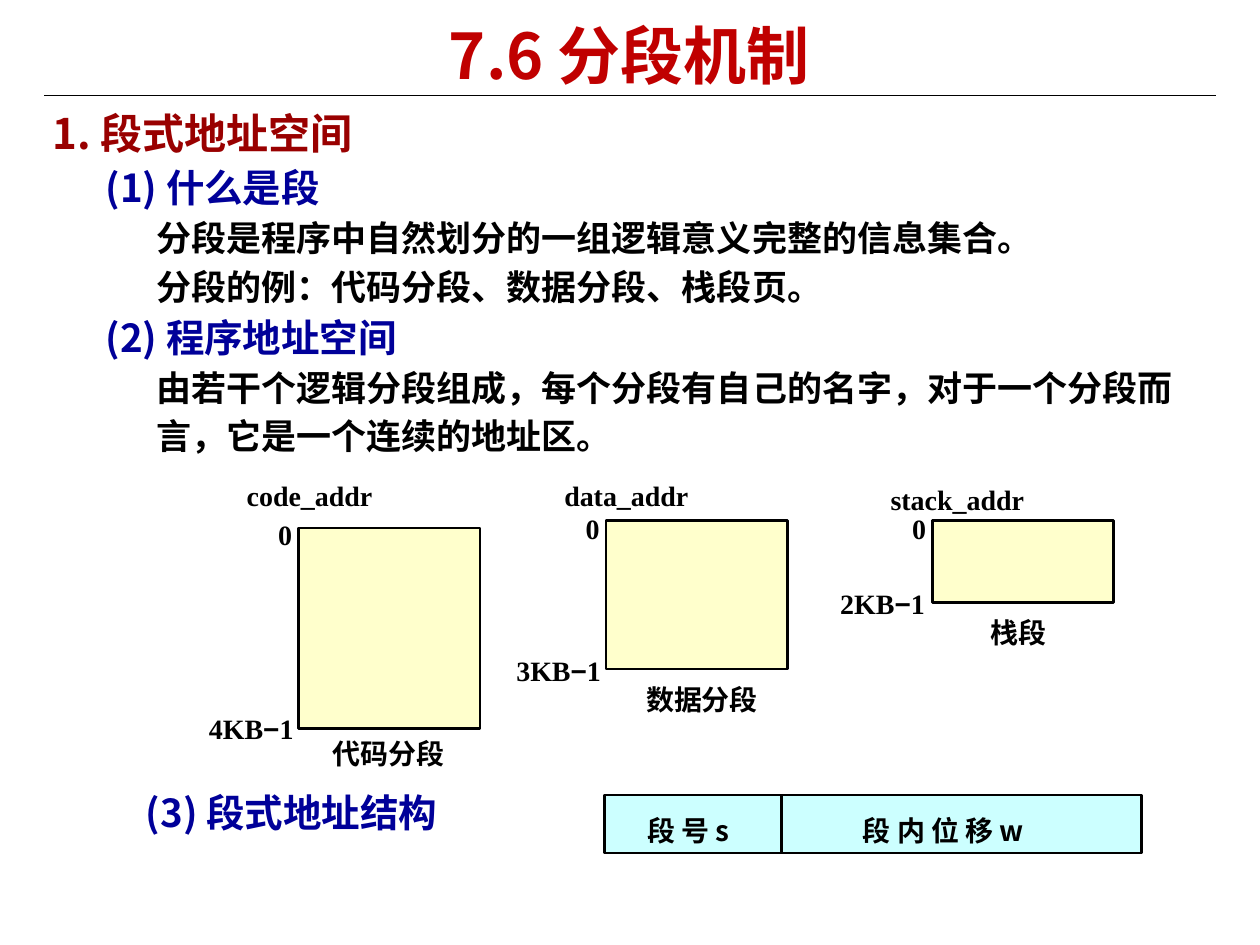
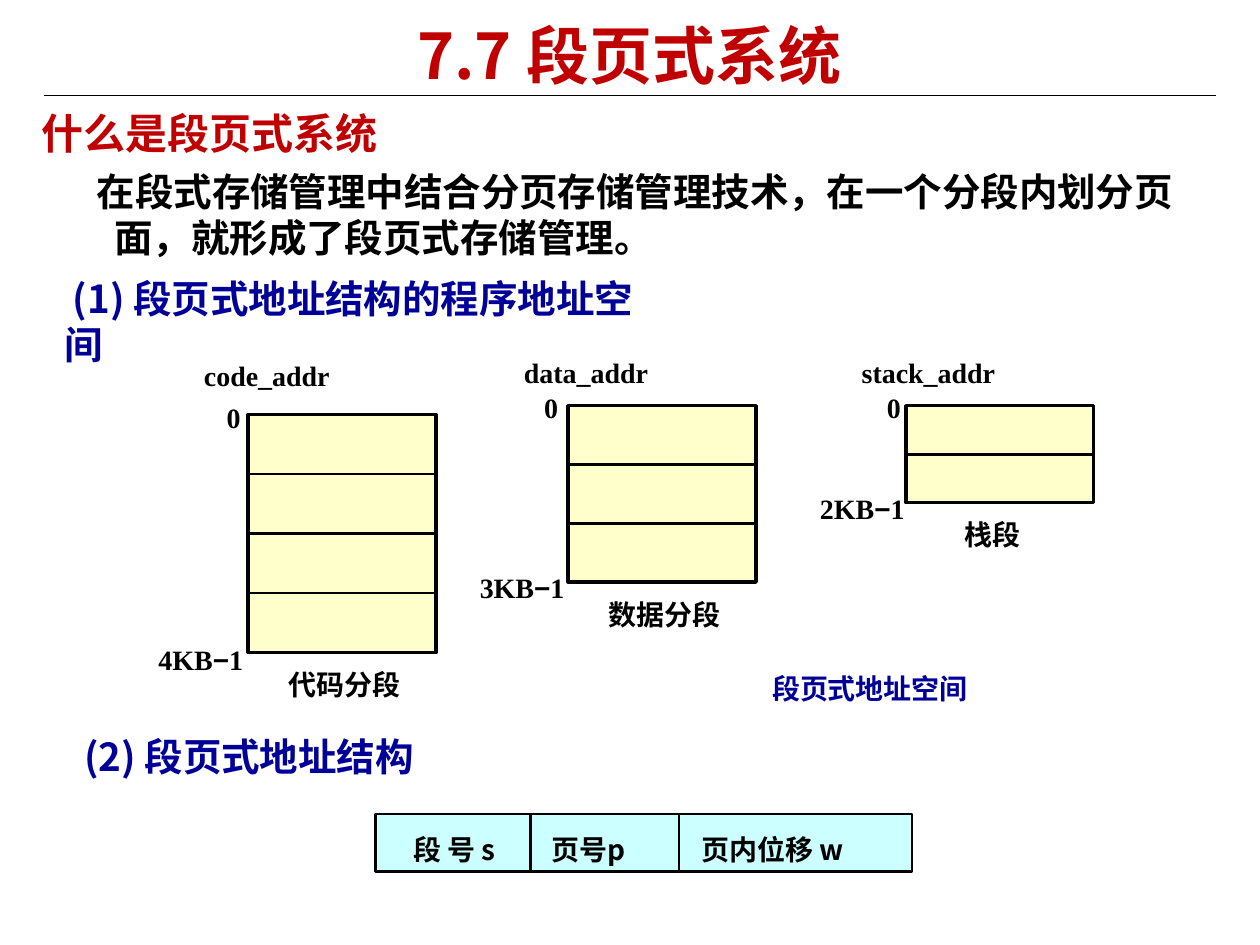
from dataclasses import dataclass
from itertools import groupby

from lxml.etree import SubElement
from pptx import Presentation
from pptx.dml.color import RGBColor
from pptx.enum.shapes import MSO_CONNECTOR, MSO_SHAPE
from pptx.enum.text import PP_ALIGN
from pptx.oxml.ns import qn
from pptx.shapes.autoshape import Shape
from pptx.shapes.connector import Connector
from pptx.slide import Slide
from pptx.util import Inches, Pt

BLACK = RGBColor(0x00, 0x00, 0x00)
TITLE_RED = RGBColor(0xC0, 0x00, 0x00)
DARK_RED = RGBColor(0x99, 0x00, 0x00)
NAVY = RGBColor(0x00, 0x00, 0x99)
SEGMENT_YELLOW = RGBColor(0xFF, 0xFF, 0xCC)
ADDRESS_CYAN = RGBColor(0xCC, 0xFF, 0xFF)

CHINESE = "Noto Sans CJK SC"
LATIN = "Times New Roman"
SYMBOL = "Arial"
MINUS = "−"
LINE_RATIO = 1.2  # line height of Chinese text, in ems
BAR_WIDTH, BAR_HEIGHT = 4.26, 0.46

Box = tuple[float, float, float, float]
Point = tuple[float, float]


@dataclass(frozen=True)
class Line:
    text: str
    size: int = 16
    color: RGBColor = BLACK
    font: str = CHINESE
    margin: float = 0
    first: float = 0


@dataclass(frozen=True)
class Segment:
    name: str
    caption: str
    kilobytes: int
    box: Box
    name_at: Point
    start_at: Point
    limit_at: Point
    caption_at: Point


@dataclass(frozen=True)
class Field:
    text: str
    left: float
    right: float  # right edge of the field's cell


@dataclass(frozen=True)
class AddressBar:
    left: float
    top: float
    fields: tuple[Field, ...]


def add_text(slide: Slide, box: Box, lines: list[Line], gap: float = 0,
             align: PP_ALIGN = PP_ALIGN.LEFT) -> None:
    frame = slide.shapes.add_textbox(*map(Inches, box)).text_frame
    frame.word_wrap = True
    for number, line in enumerate(lines):
        paragraph = frame.add_paragraph() if number else frame.paragraphs[0]
        paragraph.alignment = align
        if number:
            paragraph.space_before = Pt(gap)
        if line.font == CHINESE:
            paragraph.line_spacing = Pt(line.size * LINE_RATIO)
        properties = paragraph._p.get_or_add_pPr()
        properties.set("marL", str(Inches(line.margin)))
        properties.set("indent", str(Inches(line.first)))
        for is_minus, letters in groupby(line.text, lambda letter: letter == MINUS):
            run = paragraph.add_run()
            run.text = "".join(letters)
            formats = {"name": SYMBOL if is_minus else line.font,
                       "size": Pt(line.size), "bold": True}
            for attribute, value in formats.items():
                setattr(run.font, attribute, value)
            run.font.color.rgb = line.color
            if line.font == CHINESE:
                east_asian = SubElement(run._r.get_or_add_rPr(), qn("a:ea"))
                east_asian.set("typeface", CHINESE)


def add_rectangle(slide: Slide, box: Box, fill: RGBColor, weight: float) -> Shape:
    shape = slide.shapes.add_shape(MSO_SHAPE.RECTANGLE, *map(Inches, box))
    shape.shadow.inherit = False
    shape.fill.solid()
    shape.fill.fore_color.rgb = fill
    shape.line.color.rgb = BLACK
    shape.line.width = Pt(weight)
    return shape


def add_line(slide: Slide, start: Point, end: Point, weight: float = 1.5) -> Connector:
    connector = slide.shapes.add_connector(
        MSO_CONNECTOR.STRAIGHT, *map(Inches, start + end))
    connector.line.color.rgb = BLACK
    connector.line.width = Pt(weight)
    SubElement(connector._element.spPr, qn("a:effectLst"))
    return connector


def add_titled_slide(presentation: Presentation, title: str) -> Slide:
    slide = presentation.slides.add_slide(presentation.slide_layouts[6])
    add_line(slide, (0.35, 0.76), (9.65, 0.76), 0.75)
    add_text(slide, (0.37, 0.08, 9.25, 0.67), [Line(title, 36, TITLE_RED)],
             align=PP_ALIGN.CENTER)
    return slide


def add_segment(slide: Slide, segment: Segment, weight: float, paged: bool) -> None:
    left, top, width, height = segment.box
    rectangle = add_rectangle(slide, segment.box, SEGMENT_YELLOW, weight)

    # One page per kilobyte, split evenly
    pages = segment.kilobytes if paged else 1
    for page in range(1, pages):
        y = top + height * page / pages
        divider = add_line(slide, (left, y), (left + width, y))
        if 2 * page == pages:
            divider.begin_connect(rectangle, 1)
            divider.end_connect(rectangle, 3)

    # Name, first and last address, caption
    labels = [
        (segment.name_at, 1.45, segment.name, LATIN),
        (segment.start_at, 0.3, "0", LATIN),
        (segment.limit_at, 1.04, f"{segment.kilobytes}KB{MINUS}1", LATIN),
        (segment.caption_at, 1.19, segment.caption, CHINESE),
    ]
    for position, label_width, text, font in labels:
        add_text(slide, (*position, label_width, 0.37), [Line(text, font=font)])


def add_address_bar(slide: Slide, bar: AddressBar) -> None:
    add_rectangle(slide, (bar.left, bar.top, BAR_WIDTH, BAR_HEIGHT), ADDRESS_CYAN, 1.5)
    for field in bar.fields:
        add_text(slide, (field.left, bar.top + 0.1, field.right - field.left, 0.36),
                 [Line(field.text)])
    for field in bar.fields[:-1]:
        add_line(slide, (field.right, bar.top), (field.right, bar.top + BAR_HEIGHT))


SEGMENTS = [
    Segment("code_addr", "代码分段", 4, (2.37, 4.19, 1.44, 1.59),
            (1.86, 3.75), (2.11, 4.06), (1.56, 5.6), (2.54, 5.8)),
    Segment("data_addr", "数据分段", 3, (4.81, 4.13, 1.44, 1.18),
            (4.38, 3.75), (4.55, 4.01), (4, 5.14), (5.03, 5.37)),
    Segment("stack_addr", "栈段", 2, (7.4, 4.13, 1.44, 0.65),
            (6.97, 3.78), (7.14, 4.01), (6.57, 4.61), (7.76, 4.84)),
]

PAGED_SEGMENTS = [
    Segment("code_addr", "代码分段", 4, (1.97, 3.29, 1.49, 1.89),
            (1.52, 2.8), (1.7, 3.13), (1.16, 5.05), (2.19, 5.25)),
    Segment("data_addr", "数据分段", 3, (4.51, 3.22, 1.49, 1.4),
            (4.06, 2.77), (4.22, 3.05), (3.71, 4.48), (4.73, 4.69)),
    Segment("stack_addr", "栈段", 2, (7.19, 3.22, 1.49, 0.77),
            (6.74, 2.77), (6.94, 3.05), (6.41, 3.85), (7.56, 4.06)),
]

SEGMENT_ADDRESS = AddressBar(4.8, 6.31, (
    Field("段 号 s", 5.04, 6.2),
    Field("段 内 位 移 w", 6.75, 9.06),
))

PAGED_ADDRESS = AddressBar(2.98, 6.46, (
    Field("段 号 s", 3.18, 4.21),
    Field("页号p", 4.28, 5.39),
    Field("页内位移 w", 5.47, 7.24),
))


def build_segmentation_slide(presentation: Presentation) -> None:
    slide = add_titled_slide(presentation, "7.6 分段机制")

    def heading(text: str) -> Line:
        return Line(text, 22, NAVY, margin=0.42)

    def body(text: str) -> Line:
        return Line(text, 20, margin=0.82)

    add_text(slide, (0.32, 0.8, 9.39, 2.88), [
        Line("1. 段式地址空间", 24, DARK_RED),
        heading("(1) 什么是段"),
        body("分段是程序中自然划分的一组逻辑意义完整的信息集合。"),
        body("分段的例：代码分段、数据分段、栈段页。"),
        heading("(2) 程序地址空间"),
        body("由若干个逻辑分段组成，每个分段有自己的名字，对于一个分段而"),
        body("言，它是一个连续的地址区。"),
    ], gap=3.7)
    for segment in SEGMENTS:
        add_segment(slide, segment, 1.5, paged=False)

    # Address structure
    add_text(slide, (1.06, 6.21, 3.6, 0.47), [Line("(3) 段式地址结构", 22, NAVY)])
    add_address_bar(slide, SEGMENT_ADDRESS)


def build_paged_segmentation_slide(presentation: Presentation) -> None:
    slide = add_titled_slide(presentation, "7.7 段页式系统")
    add_text(slide, (0.23, 0.8, 9.4, 1.31), [
        Line("什么是段页式系统", 24, TITLE_RED),
        Line("在段式存储管理中结合分页存储管理技术，在一个分段内划分页面，"
             "就形成了段页式存储管理。", 22, margin=0.58, first=-0.14),
    ], gap=6)
    add_text(slide, (0.41, 2.13, 4.95, 0.84),
             [Line("(1) 段页式地址结构的程序地址空间", 22, NAVY, first=0.07)])
    for segment in PAGED_SEGMENTS:
        add_segment(slide, segment, 2, paged=True)
    add_text(slide, (6.03, 5.28, 2, 0.37), [Line("段页式地址空间", color=NAVY)])

    # Address structure
    add_text(slide, (0.57, 5.77, 6.32, 0.47), [Line("(2) 段页式地址结构", 22, NAVY)])
    add_address_bar(slide, PAGED_ADDRESS)


def main() -> None:
    presentation = Presentation()
    presentation.slide_width = Inches(10)
    presentation.slide_height = Inches(7.5)
    build_segmentation_slide(presentation)
    build_paged_segmentation_slide(presentation)
    presentation.save("out.pptx")


if __name__ == "__main__":
    main()
